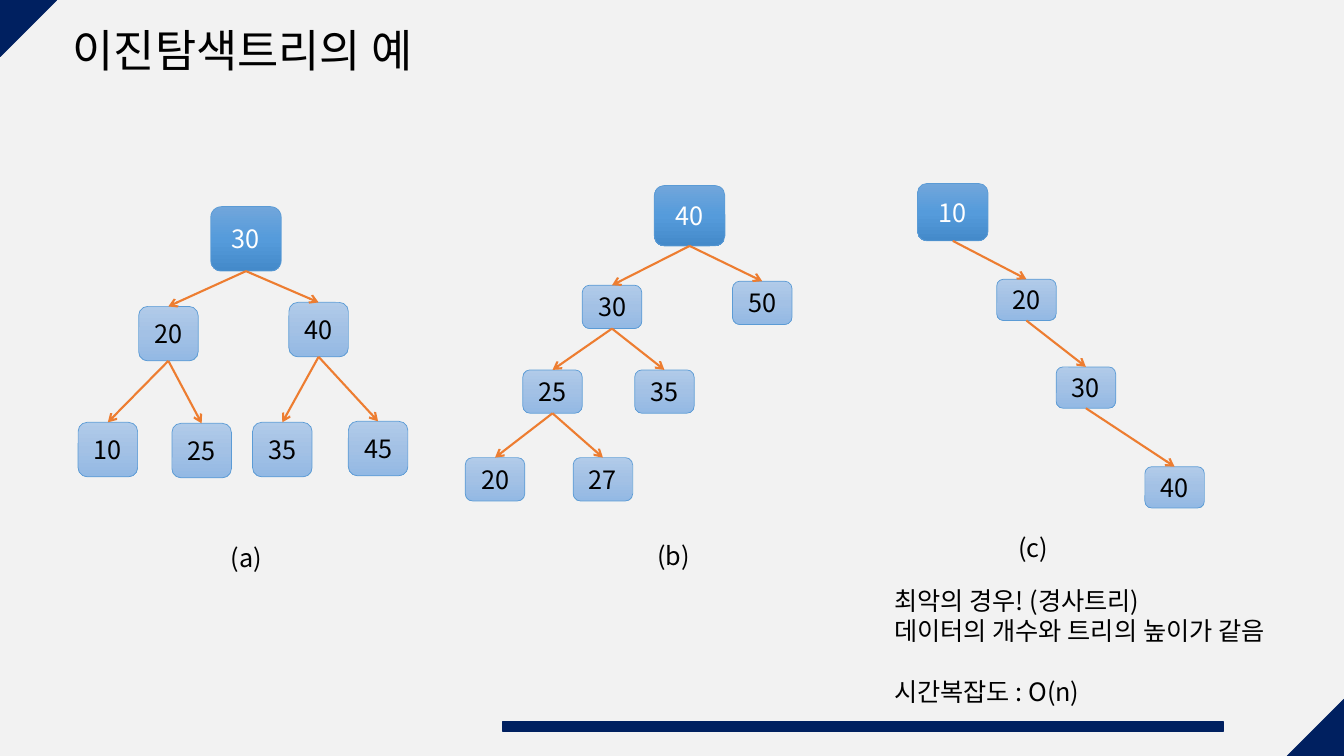
from copy import deepcopy
from pptx import Presentation
from pptx.dml.color import RGBColor
from pptx.enum.shapes import MSO_CONNECTOR as Conn, MSO_SHAPE as Form
from pptx.enum.text import MSO_ANCHOR as Anchor, MSO_AUTO_SIZE as Auto, PP_ALIGN as Align
from pptx.oxml.ns import qn
from pptx.util import Inches, Pt
from lxml.etree import SubElement

# Grid of square cells, ten to the inch
COLS, ROWS = 133.3, 75
NAVY, BLACK, WHITE, ORANGE = "002060", "000000", "FFFFFF", "ED7D31"
EDGE, PAPER = "5B9BD5", "F2F2F2"
DEEP = ("71A6DB", "559BDB", "448ACA")
PALE = ("B1CBE9", "A3C1E5", "93B9E4")
NOTO = "Noto Sans CJK KR"
TOP, FOOT = 0, 2  # connection sites


def cell(count):
    return Inches(count / 10)


def paint(target, code):
    target.rgb = RGBColor.from_string(code)


def style(frame, size=18, face=NOTO, code=BLACK, align=Align.LEFT):
    for para in frame.paragraphs:
        para.alignment = align
        for run in para.runs:
            font = run.font
            font.size, font.name = Pt(size), face
            paint(font.color, code)
            SubElement(font._element, qn("a:ea"), typeface=NOTO)


def shape(slide, form, left, top, wide, high, line, weight):
    item = slide.shapes.add_shape(form, *map(cell, (left, top, wide, high)))
    item.shadow.inherit = False
    paint(item.line.color, line)
    item.line.width = Pt(weight)
    return item


def write(slide, words, left, top, wide, high):
    box = slide.shapes.add_textbox(*map(cell, (left, top, wide, high)))
    box.text_frame.word_wrap = True
    box.text_frame.text = words
    style(box.text_frame)
    return box


def shade(item, codes):
    fill = item.fill
    fill.gradient()
    fill.gradient_angle = 270
    first = item._element.spPr.find(".//" + qn("a:gs"))
    first.addnext(deepcopy(first))
    for stop, code, place in zip(fill.gradient_stops, codes, (0, 0.5, 1)):
        paint(stop.color, code)
        stop.position = place


def arrow(slide, start, end):
    link = slide.shapes.add_connector(Conn.STRAIGHT, 0, 0, 0, 0)
    link.begin_connect(start, FOOT)
    link.end_connect(end, TOP)
    paint(link.line.color, ORANGE)
    link.line.width = Pt(1.5)
    props = link._element.spPr
    SubElement(props.find(qn("a:ln")), qn("a:tailEnd"), type="arrow")
    SubElement(props, qn("a:effectLst"))


def tree(slide, left, top, root_high, high, nodes, label):
    """Nodes hold key, centre column, top row and parent key, within the box."""
    made = {}
    for key, col, row, parent in nodes:
        root = parent is None
        wide, tall = (7, root_high) if root else (5.9, high)
        node = shape(slide, Form.ROUNDED_RECTANGLE, left + col - wide / 2,
                     top + row, wide, tall, EDGE, 0.5)
        shade(node, DEEP if root else PALE)
        frame = node.text_frame
        frame.text = str(key)
        frame.vertical_anchor = Anchor.MIDDLE
        style(frame, code=WHITE if root else BLACK, align=Align.CENTER)
        made[key] = node
        if not root:
            arrow(slide, made[parent], node)
    name, col, row = label
    write(slide, name, left + col, top + row, 6.9, 4)


def decor(slide):
    paint_bg = slide.background.fill
    paint_bg.solid()
    paint(paint_bg.fore_color, PAPER)
    side = 5.6
    parts = (
        (Form.RIGHT_TRIANGLE, 0, 0, side, side, 90),
        (Form.RIGHT_TRIANGLE, COLS - side, ROWS - side, side, side, 270),
        (Form.RECTANGLE, 49.9, 71.6, 71.4, 1, 0),
    )
    for form, left, top, wide, high, turn in parts:
        item = shape(slide, form, left, top, wide, high, NAVY, 1)
        item.fill.solid()
        paint(item.fill.fore_color, NAVY)
        item.rotation = turn


def heading(slide, left, top, wide, high):
    title = slide.shapes.title
    title.left, title.top, title.width, title.height = map(cell, (left, top, wide, high))
    frame = title.text_frame
    frame.text = "이진탐색트리의 예"
    frame.auto_size = Auto.NONE
    frame.vertical_anchor = Anchor.TOP
    style(frame, 32, "Arial")


def remarks(slide, left, top, wide, high):
    lines = ("최악의 경우! (경사트리)", "데이터의 개수와 트리의 높이가 같음", "시간복잡도 : O(n)")
    box = write(slide, "\n".join(lines), left, top, wide, high)
    box.text_frame.paragraphs[-1].space_before = Pt(21.5)


deck = Presentation()
deck.slide_width, deck.slide_height = cell(COLS), cell(ROWS)
page = deck.slides.add_slide(deck.slide_layouts[5])
decor(page)
heading(page, 6.2, 1.8, 39.5, 6.4)

# Balanced tree
tree(page, 7.8, 20.5, 6.4, 5.4, (
    (30, 16.6, 0, None),
    (20, 8.9, 9.9, 30), (40, 23.8, 9.5, 30),
    (10, 2.9, 21.4, 20), (25, 12.2, 21.5, 20),
    (35, 20.2, 21.4, 40), (45, 29.7, 21.3, 40),
), ("(a)", 14.1, 32.8))

# Left-leaning tree
tree(page, 46.1, 18.4, 6, 4.3, (
    (40, 22.3, 0, None),
    (30, 14.6, 9.9, 40), (50, 29.5, 9.5, 40),
    (25, 8.7, 18.3, 30), (35, 19.8, 18.3, 30),
    (20, 3, 27, 25), (27, 13.7, 27, 25),
), ("(b)", 18.1, 34.7))

# Skewed tree
tree(page, 91, 18.2, 5.7, 4.1, (
    (10, 3.5, 0, None), (20, 10.8, 9.5, 10),
    (30, 16.7, 18.2, 20), (40, 25.5, 28.1, 30),
), ("(c)", 9, 34.1))

remarks(page, 87.7, 57.6, 43.5, 13.1)
deck.save("out.pptx")
